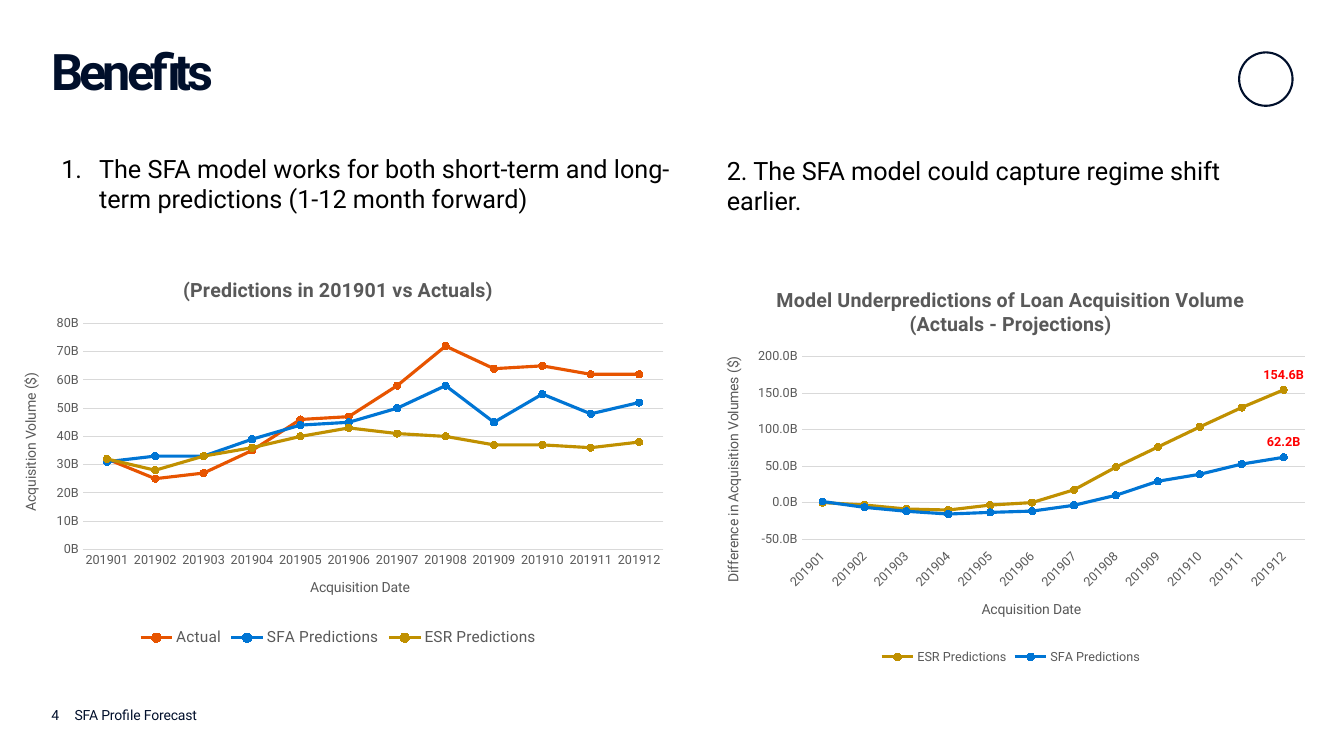
from dataclasses import dataclass
from typing import Optional

from lxml import etree
from pptx import Presentation
from pptx.chart.data import CategoryChartData
from pptx.dml.color import RGBColor
from pptx.enum.chart import (XL_CHART_TYPE, XL_LABEL_POSITION, XL_LEGEND_POSITION,
                             XL_MARKER_STYLE, XL_TICK_LABEL_POSITION, XL_TICK_MARK)
from pptx.enum.shapes import MSO_SHAPE
from pptx.oxml import parse_xml
from pptx.oxml.ns import nsdecls, qn
from pptx.util import Inches, Pt

LINE_MARKERS = XL_CHART_TYPE.LINE_MARKERS
ABOVE = XL_LABEL_POSITION.ABOVE
BOTTOM = XL_LEGEND_POSITION.BOTTOM
CIRCLE = XL_MARKER_STYLE.CIRCLE
LOW = XL_TICK_LABEL_POSITION.LOW
NO_TICKS = XL_TICK_MARK.NONE
OVAL = MSO_SHAPE.OVAL

NAVY = RGBColor(0x00, 0x0F, 0x2B)
BLACK = RGBColor(0x00, 0x00, 0x00)
GRAY = RGBColor(0x59, 0x59, 0x59)
GRID = RGBColor(0xD9, 0xD9, 0xD9)
RED = RGBColor(0xFF, 0x00, 0x00)
ORANGE = RGBColor(0xE7, 0x54, 0x00)
BLUE = RGBColor(0x00, 0x75, 0xD4)
GOLD = RGBColor(0xC0, 0x90, 0x00)

FONT = "Roboto"
HANGING = Pt(27)
BILLION = 10 ** 9
MONTHS = [str(month) for month in range(201901, 201913)]


@dataclass
class Label:
    text: str
    box: tuple[float, float, float, float]
    size: int
    color: RGBColor
    bold: bool = False
    tracking: float = 0
    line_spacing: Optional[float] = None
    margins: Optional[tuple[float, float, float, float]] = None
    numbered: bool = False


@dataclass
class Line:
    name: str
    color: RGBColor
    values: list[float]


@dataclass
class Graph:
    title: str
    value_title: str
    box: tuple[float, float, float, float]
    plot: tuple[float, float, float, float]  # inches inside the chart
    lines: list[Line]
    scale: tuple[int, int, int]  # minimum, maximum, step
    number_format: str
    legend_size: int
    slanted: bool = False
    label_last: bool = False


LABELS = [
    Label("Benefits", (0.51, 0.51, 11.49, 0.5), 36, NAVY, bold=True,
          tracking=-2.8, line_spacing=0.8, margins=(0, 0, 0, 0)),
    Label("SFA Profile Forecast", (0.72, 7.01, 9.37, 0.39), 10, NAVY,
          tracking=-0.1, margins=(0.02, 0, 0, 0)),
    Label("4", (0.51, 7.01, 0.23, 0.4), 10, NAVY, tracking=-0.1, margins=(0, 0, 0, 0)),
    Label("The SFA model works for both short-term and long-term predictions "
          "(1-12 month forward)", (0.51, 1.47, 6.26, 0.71), 18, BLACK, numbered=True),
    Label("2. The SFA model could capture regime shift earlier.",
          (7.11, 1.49, 5.45, 0.71), 18, BLACK),
]

GRAPHS = [
    Graph("(Predictions in 201901 vs Actuals)", "Acquisition Volume ($)",
          (0, 2.57, 6.71, 3.89), (0.82, 0.64, 5.76, 2.24),
          [Line("Actual", ORANGE, [32, 25, 27, 35, 46, 47, 58, 72, 64, 65, 62, 62]),
           Line("SFA Predictions", BLUE, [31, 33, 33, 39, 44, 45, 50, 58, 45, 55, 48, 52]),
           Line("ESR Predictions", GOLD, [32, 28, 33, 36, 40, 43, 41, 40, 37, 37, 36, 38])],
          (0, 80, 10), '0"B"', 11),
    Graph("Model Underpredictions of Loan Acquisition Volume\n(Actuals - Projections)",
          "Difference in Acquisition Volumes ($)",
          (6.98, 2.68, 6.09, 3.95), (0.97, 0.86, 4.99, 1.81),
          [Line("ESR Predictions", GOLD, [round(value * BILLION) for value in (
              0.1, -3.2, -8.7, -10.1, -3.3, 0.1, 17.6, 48.8, 76.3, 103.8, 130.4, 154.6)]),
           Line("SFA Predictions", BLUE, [round(value * BILLION) for value in (
               1.6, -6.4, -11.8, -15.6, -13.3, -11.6, -3.6, 10.1, 29.3, 38.9, 52.9, 62.2)])],
          (-50 * BILLION, 200 * BILLION, 50 * BILLION), '0.0,,,"B"', 9,
          slanted=True, label_last=True),
]


def style_font(font, size: int, color: RGBColor, bold: bool = False) -> None:
    font.name, font.size, font.bold = FONT, Pt(size), bold
    font.color.rgb = color


def add_label(page, label: Label) -> None:
    box = page.shapes.add_textbox(*map(Inches, label.box))
    frame = box.text_frame
    frame.word_wrap = True
    if label.margins:
        (frame.margin_left, frame.margin_top,
         frame.margin_right, frame.margin_bottom) = map(Inches, label.margins)
    para = frame.paragraphs[0]
    span = para.add_run()
    span.text = label.text
    style_font(para.font, label.size, label.color, label.bold)
    if label.line_spacing:
        para.line_spacing = label.line_spacing
    if label.tracking:
        span.font._element.set("spc", str(round(label.tracking * 100)))
    if label.numbered:
        properties = para._p.get_or_add_pPr()
        properties.set("marL", str(HANGING))
        properties.set("indent", str(-HANGING))
        numbering = parse_xml(f'<a:buAutoNum {nsdecls("a")} type="arabicPeriod"/>')
        properties.insert_element_before(numbering, "a:tabLst", "a:defRPr", "a:extLst")


def set_title(owner, text: str, size: int, bold: bool = False) -> None:
    """Title a chart or an axis."""
    frame = (owner.chart_title if hasattr(owner, "chart_title") else owner.axis_title).text_frame
    frame.text = text
    for para in frame.paragraphs:
        style_font(para.font, size, GRAY, bold)


def place_plot(chart, graph: Graph) -> None:
    plot_area = chart._chartSpace.chart.plotArea
    for old in plot_area.findall(qn("c:layout")):
        plot_area.remove(old)
    layout = parse_xml(f'<c:layout {nsdecls("c")}><c:manualLayout/></c:layout>')
    chart_width, chart_height = graph.box[2:]
    left, top, width, height = graph.plot
    settings = {"layoutTarget": "inner", "xMode": "edge", "yMode": "edge",
                "x": left / chart_width, "y": top / chart_height,
                "w": width / chart_width, "h": height / chart_height}
    for name, value in settings.items():
        etree.SubElement(layout[0], qn(f"c:{name}")).set("val", str(value))
    plot_area.insert(0, layout)


def style_axes(chart, graph: Graph) -> None:
    dates, amounts = chart.category_axis, chart.value_axis
    for axis, title in ((dates, "Acquisition Date"), (amounts, graph.value_title)):
        set_title(axis, title, 10)
        style_font(axis.tick_labels.font, 9, GRAY)
        axis.major_tick_mark = axis.minor_tick_mark = NO_TICKS
    dates.format.line.color.rgb = GRID
    dates.format.line.width = Pt(0.75)
    if graph.slanted:
        dates.tick_label_position = LOW
        dates._element.txPr.bodyPr.set("rot", "-2700000")
    amounts.minimum_scale, amounts.maximum_scale, amounts.major_unit = graph.scale
    amounts.tick_labels.number_format = graph.number_format
    amounts.tick_labels.number_format_is_linked = False
    amounts.format.line.fill.background()
    amounts.major_gridlines.format.line.color.rgb = GRID
    amounts.major_gridlines.format.line.width = Pt(0.75)


def add_graph(page, graph: Graph) -> None:
    data = CategoryChartData(number_format=graph.number_format)
    data.categories = MONTHS
    for line in graph.lines:
        data.add_series(line.name, line.values)
    chart = page.shapes.add_chart(LINE_MARKERS, *map(Inches, graph.box), data).chart
    style_font(chart.font, 10, BLACK)
    set_title(chart, graph.title, 14, bold=True)
    chart.has_legend = True
    chart.legend.position = BOTTOM
    chart.legend.include_in_layout = False
    style_font(chart.legend.font, graph.legend_size, GRAY)
    style_axes(chart, graph)
    place_plot(chart, graph)
    chart.plots[0].vary_by_categories = False
    for series, line in zip(chart.plots[0].series, graph.lines):
        series.smooth = False
        series.format.line.color.rgb = line.color
        series.format.line.width = Pt(2.25)
        series.marker.style, series.marker.size = CIRCLE, 5
        series.marker.format.fill.solid()
        series.marker.format.fill.fore_color.rgb = line.color
        series.marker.format.line.color.rgb = line.color
        if graph.label_last:
            label = series.points[len(MONTHS) - 1].data_label
            style_font(label.font, 9, RED, bold=True)
            label.position = ABOVE


def add_emblem(page) -> None:
    ring = page.shapes.add_shape(OVAL, *map(Inches, (12.29, 0.52, 0.53, 0.53)))
    ring.shadow.inherit = False
    ring.fill.background()
    ring.line.color.rgb = NAVY
    ring.line.width = Pt(1.5)


def main() -> None:
    deck = Presentation()
    deck.slide_width, deck.slide_height = Inches(13.33), Inches(7.5)
    page = deck.slides.add_slide(deck.slide_layouts[6])
    add_emblem(page)
    for graph in GRAPHS:
        add_graph(page, graph)
    for label in LABELS:
        add_label(page, label)
    deck.save("out.pptx")


if __name__ == "__main__":
    main()
